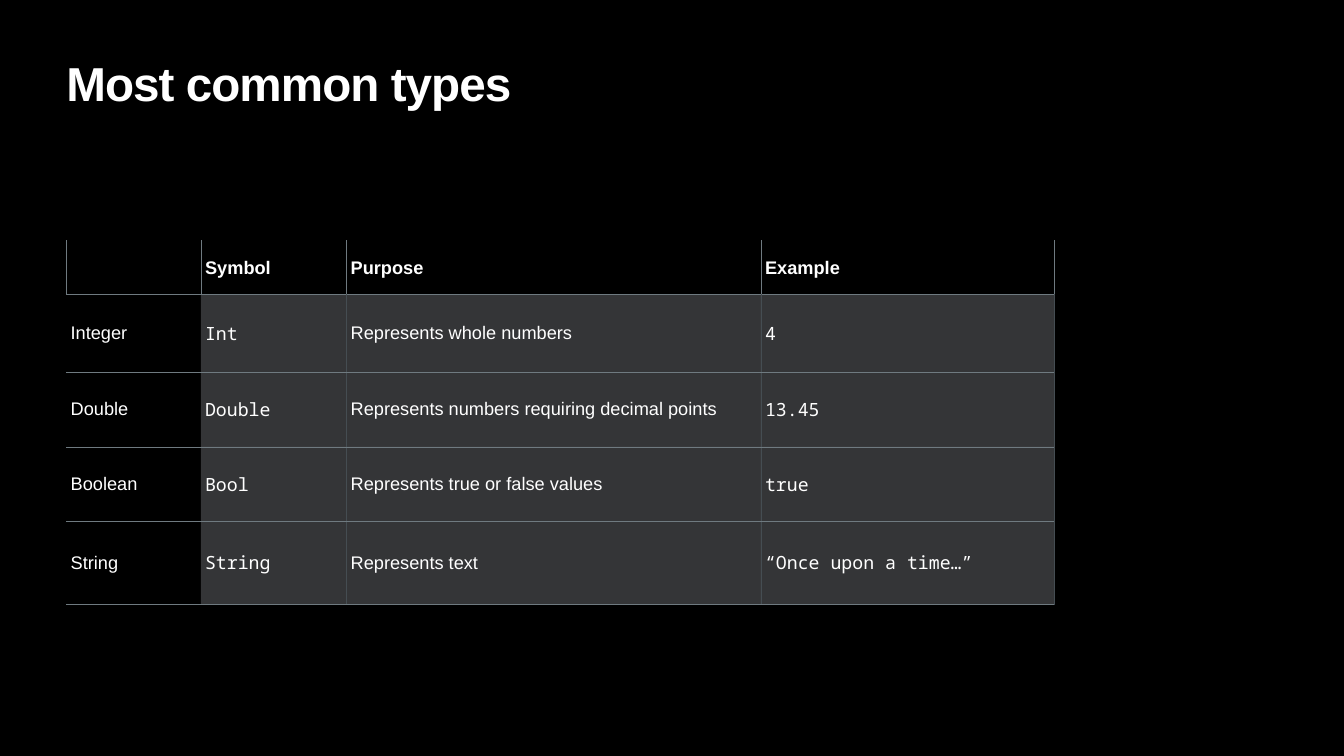
from pptx import Presentation
from pptx.dml.color import RGBColor
from pptx.enum.text import MSO_ANCHOR, PP_ALIGN
from pptx.oxml.ns import qn
from pptx.util import Pt
from lxml import etree

MIDDLE, BOTTOM = MSO_ANCHOR.MIDDLE, MSO_ANCHOR.BOTTOM
LEFT = PP_ALIGN.LEFT

TITLE = "Most common types"
ROWS = [
    ("", "Symbol", "Purpose", "Example"),
    ("Integer", "Int", "Represents whole numbers", "4"),
    ("Double", "Double", "Represents numbers requiring decimal points", "13.45"),
    ("Boolean", "Bool", "Represents true or false values", "true"),
    ("String", "String", "Represents text", "“Once upon a time…”"),
]
WIDTHS = [192, 208, 592, 419]
HEIGHTS = [78, 111, 106.5, 106, 119.5]
COLORS = {
    "back": "000000",
    "text": "FFFFFF",
    "cell": "D1D6DE",
    "rule": "6F7A80",
    "dim": "454D52",
}
SANS, MONO = "Arial", "Noto Sans Mono"
FONTS = [SANS, MONO, SANS, MONO]


def color(name):
    return RGBColor.from_string(COLORS[name])


def write(frame, text, size, font, bold, inset, anchor, space=None):
    frame.margin_left = frame.margin_right = Pt(inset)
    frame.margin_top = frame.margin_bottom = Pt(inset)
    frame.vertical_anchor = anchor
    para = frame.paragraphs[0] if hasattr(frame, "paragraphs") else frame.text_frame.paragraphs[0]
    para.alignment = LEFT
    if space:
        para.line_spacing = Pt(space)
    run = para.add_run()
    run.text = text
    run.font.size = Pt(size)
    run.font.name = font
    run.font.bold = bold
    run.font.color.rgb = color("text")
    return run


def edges(row, col):
    side = "rule" if row == 0 else "dim"
    last = len(WIDTHS) - 1
    left = side if row == 0 or col > 1 else None
    right = side if row == 0 or 0 < col <= last else None
    top = "rule" if row else None
    return [("lnL", left), ("lnR", right), ("lnT", top), ("lnB", "rule")]


def border(cell, row, col):
    props = cell._tc.get_or_add_tcPr()
    for spot, (tag, name) in enumerate(edges(row, col)):
        line = etree.Element(qn("a:" + tag), w=str(Pt(1)))
        if name:
            fill = etree.SubElement(line, qn("a:solidFill"))
            etree.SubElement(fill, qn("a:srgbClr"), val=COLORS[name])
        else:
            etree.SubElement(line, qn("a:noFill"))
        props.insert(spot, line)


def paint(cell, row, col):
    if row == 0:
        cell.fill.background()
        return
    cell.fill.solid()
    cell.fill.fore_color.rgb = color("cell" if col else "back")
    if col:
        tint = cell._tc.tcPr.find(".//" + qn("a:srgbClr"))
        etree.SubElement(tint, qn("a:alpha"), val="25000")


def main():
    deck = Presentation()
    deck.slide_width, deck.slide_height = Pt(1920), Pt(1080)
    slide = deck.slides.add_slide(deck.slide_layouts[5])
    slide.background.fill.solid()
    slide.background.fill.fore_color.rgb = color("back")

    title = slide.shapes.title
    title.left, title.top = Pt(90.75), Pt(0)
    title.width, title.height = Pt(1740), Pt(162)
    run = write(title.text_frame, TITLE, 68, SANS, True, 4, BOTTOM, 73)
    run.font._element.set("spc", "-140")

    table = slide.shapes.add_table(
        len(ROWS), len(WIDTHS), Pt(95), Pt(343), Pt(sum(WIDTHS)), Pt(sum(HEIGHTS))
    ).table
    table.first_row = table.horz_banding = False
    for col, width in enumerate(WIDTHS):
        table.columns[col].width = Pt(width)
    for row, texts in enumerate(ROWS):
        table.rows[row].height = Pt(HEIGHTS[row])
        for col, text in enumerate(texts):
            cell = table.cell(row, col)
            paint(cell, row, col)
            border(cell, row, col)
            if text:
                head = row == 0
                font = SANS if head else FONTS[col]
                write(cell, text, 26, font, head, 6, MIDDLE, 31 if head else None)
    deck.save("out.pptx")


if __name__ == "__main__":
    main()
